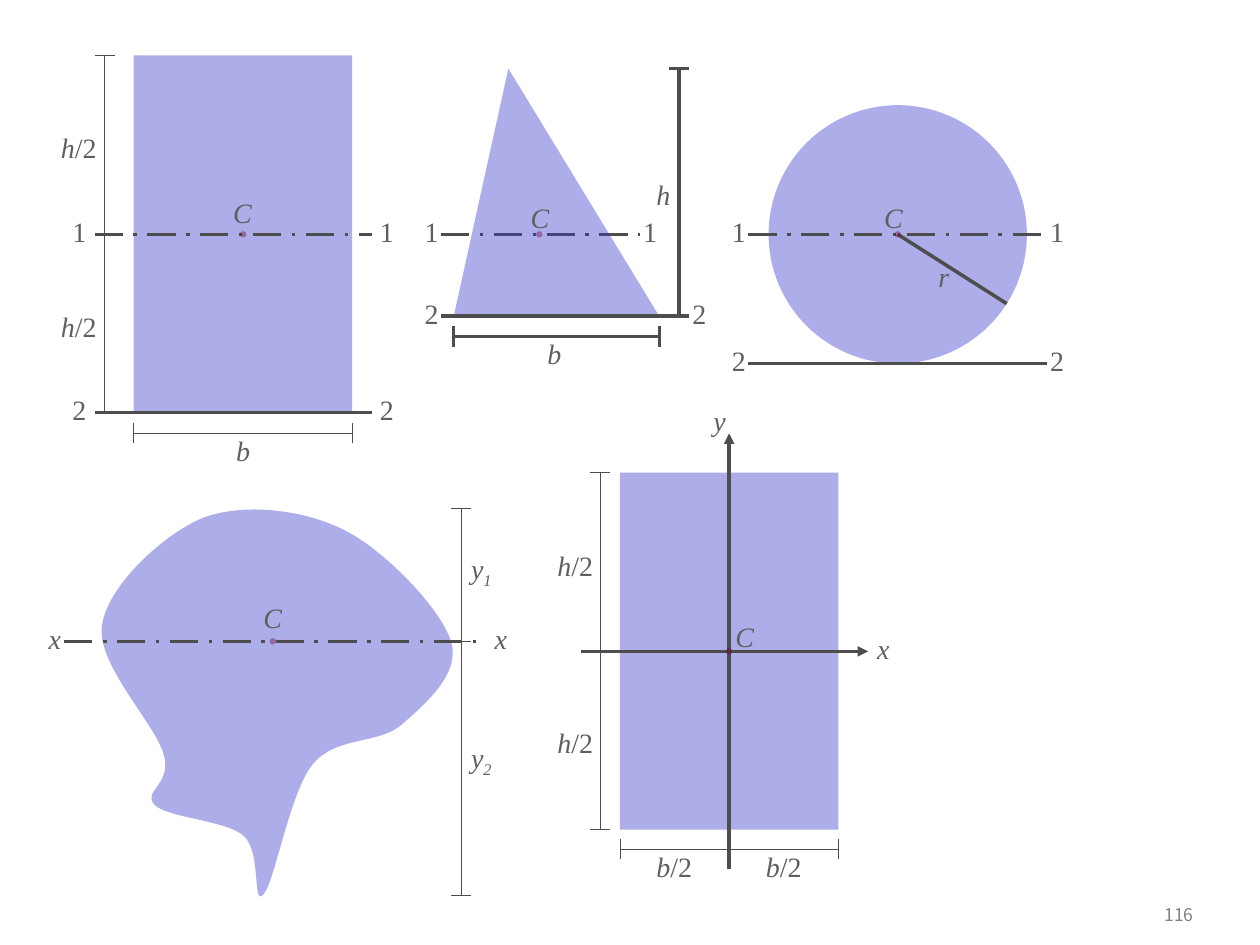
from dataclasses import dataclass
from lxml.etree import SubElement
from pptx import Presentation
from pptx.dml.color import RGBColor as Rgb
from pptx.enum.dml import MSO_LINE as Dash
from pptx.enum.shapes import MSO_CONNECTOR as Link, MSO_SHAPE as Kind
from pptx.enum.text import MSO_ANCHOR as Anchor, MSO_AUTO_SIZE as Fit, PP_ALIGN as Align
from pptx.oxml.ns import qn
from pptx.util import Emu, Inches, Pt

# The slide is a grid of 100 columns by 75 rows
COLS, ROWS = 100, 75
HUES = {"plate": "3333CC", "dot": "6B0131", "line": "4D4D4D",
        "text": "5F5F5F", "page": "808080"}
SERIF, SANS = "Times New Roman", "Noto Sans CJK KR"
TICK = 0.8      # half length of an end mark
HIGH = 2.7      # height of a label
THIN = 0.25     # line width in points

deck = Presentation()
deck.slide_width, deck.slide_height = Inches(10), Inches(7.5)
slide = deck.slides.add_slide(deck.slide_layouts[6])
shapes = slide.shapes


@dataclass
class Bit:
    text: str
    slant: bool = True
    base: int = 0


@dataclass
class Label:
    bits: list[Bit]
    mid: float
    top: float
    wide: float = 3.1


@dataclass
class Axis:
    mark: Bit
    left: float
    right: float
    row: float
    pads: tuple[float, float]
    dashed: bool = True


def col(n: float) -> Emu:
    return Emu(round(deck.slide_width * n / COLS))


def row(n: float) -> Emu:
    return Emu(round(deck.slide_height * n / ROWS))


def box(left: float, top: float, wide: float, high: float) -> tuple[Emu, ...]:
    return col(left), row(top), col(wide), row(high)


def tint(shape, hue: str) -> None:
    """Give a shape a 40 % opaque fill and no outline."""
    shape.shadow.inherit = False
    shape.line.fill.background()
    shape.fill.solid()
    shape.fill.fore_color.rgb = Rgb.from_string(HUES[hue])
    tone = shape.element.spPr.find(".//" + qn("a:srgbClr"))
    SubElement(tone, qn("a:alpha"), val="40000")


def line(x1: float, y1: float, x2: float, y2: float, width: float = 0,
         dashed: bool = False, arrow: bool = False) -> None:
    link = shapes.add_connector(Link.STRAIGHT, col(x1), row(y1), col(x2), row(y2))
    link.line.color.rgb = Rgb.from_string(HUES["line"])
    link.line.width = Pt(width)
    if dashed:
        link.line.dash_style = Dash.LONG_DASH_DOT
    props = link.element.spPr
    if arrow:
        SubElement(props.find(qn("a:ln")), qn("a:tailEnd"), type="triangle")
    SubElement(props, qn("a:effectLst"))


def write(para, bit: Bit, size: float, face: str, hue: str) -> None:
    run = para.add_run()
    run.text = bit.text
    run.font.size, run.font.name = Pt(size), face
    run.font.color.rgb = Rgb.from_string(HUES[hue])
    run.font.italic = bit.slant
    if bit.base:
        run._r.get_or_add_rPr().set("baseline", str(bit.base * 1000))


def label(item: Label) -> None:
    frame = shapes.add_textbox(
        *box(item.mid - item.wide / 2, item.top, item.wide, HIGH)).text_frame
    frame.margin_left = frame.margin_right = frame.margin_top = frame.margin_bottom = 0
    frame.word_wrap, frame.auto_size = True, Fit.SHAPE_TO_FIT_TEXT
    para = frame.paragraphs[0]
    para.alignment = Align.CENTER
    for bit in item.bits:
        write(para, bit, 16, SERIF, "text")


def axis(item: Axis) -> None:
    """Draw a level axis with the same mark at both ends."""
    line(item.left, item.row, item.right, item.row, dashed=item.dashed)
    for mid in (item.left - item.pads[0], item.right + item.pads[1]):
        label(Label([item.mark], mid, item.row - 1.6, 2.4))


def tall(x: float, *stops: float, width: float = THIN) -> None:
    """Draw an upright measure with an end mark at each stop."""
    line(x, stops[0], x, stops[-1], width)
    for y in stops:
        line(x - TICK, y, x + TICK, y, width)


def flat(y: float, *stops: float, width: float = THIN) -> None:
    """Draw a level measure with an end mark at each stop."""
    line(stops[0], y, stops[-1], y, width)
    for x in stops:
        line(x, y - TICK, x, y + TICK, width)


def plate(kind: Kind, left: float, top: float, wide: float, high: float):
    shape = shapes.add_shape(kind, *box(left, top, wide, high))
    tint(shape, "plate")
    return shape


def center(x: float, y: float, mid: float, top: float) -> None:
    tint(shapes.add_shape(Kind.OVAL, *box(x - 0.25, y - 0.25, 0.5, 0.5)), "dot")
    label(Label([Bit("C")], mid, top))


def blob(start: tuple, curves: list[tuple]) -> None:
    """Draw a closed outline of cubic curves, three points to each."""
    spots = [(col(x), row(y)) for c in curves for x, y in zip(c[::2], c[1::2])]
    pen = shapes.build_freeform(col(start[0]), row(start[1]), scale=1.0)
    pen.add_line_segments(spots, close=True)
    shape = pen.convert_to_shape()
    steps = list(shape.element.iter(qn("a:lnTo")))
    for n in range(0, len(spots), 3):
        curve = steps[n]
        curve.tag = qn("a:cubicBezTo")
        for step in steps[n + 1:n + 3]:
            curve.append(step[0])
            step.getparent().remove(step)
    tint(shape, "plate")


ONE, TWO = Bit("1", False), Bit("2", False)
HALF = Bit("/2", False)
WIDE, TALL = 17.35, 28.35       # both rectangles
MID = 18.6                      # shared centre line of the top row

# Rectangle with axes 1 and 2
left, top = 10.6, 4.4
plate(Kind.RECTANGLE, left, top, WIDE, TALL)
axis(Axis(ONE, 7.5, 29.5, MID, (1.2, 1.2)))
axis(Axis(TWO, 7.5, 29.5, top + TALL, (1.2, 1.2), False))
tall(8.3, top, top + TALL)
flat(34.4, left, left + WIDE)
for y in (10.4, 24.6):
    label(Label([Bit("h"), HALF], 6.25, y, 3.9))
label(Label([Bit("b")], 19.3, 34.4))
center(19.3, MID, 19.25, 15.5)

# Triangle
axis(Axis(ONE, 35, 50.8, MID, (0.75, 0.8)))
plate(Kind.ISOSCELES_TRIANGLE, 36, 5.45, 16.35, 19.7).adjustments[0] = 0.266
axis(Axis(TWO, 35, 53.9, 25.1, (0.75, 1.6), False))
tall(53.9, 5.45, 25.1, width=0)
flat(26.7, 36, 52.35, width=0)
label(Label([Bit("h")], 52.65, 14.1, 2.5))
label(Label([Bit("b")], 44, 26.7))
center(42.8, MID, 42.85, 15.9)

# Circle
plate(Kind.OVAL, 61, 8.35, 20.5, 20.5)
axis(Axis(ONE, 59.4, 83.1, MID, (0.75, 0.8)))
axis(Axis(TWO, 59.4, 83.1, 28.85, (0.75, 0.8), False))
line(71.25, MID, 79.9, 24.1)
label(Label([Bit("r")], 74.9, 20.6))
center(71.25, MID, 70.9, 15.9)

# Free form
blob((16.1, 41.1), [
    (13, 42.4, 8.6, 46.4, 8.1, 49.6), (7.6, 52.7, 12.4, 57.5, 13, 59.9),
    (13.7, 62.3, 11.2, 62.8, 12.3, 63.9), (13.3, 64.9, 17.9, 65.1, 19.3, 66.3),
    (20.8, 67.5, 20, 72, 20.9, 71), (21.8, 70.1, 23, 62.9, 24.8, 60.7),
    (26.6, 58.4, 30.1, 59.1, 31.9, 57.5), (33.7, 55.9, 36.6, 53.5, 35.8, 50.9),
    (35, 48.3, 30.5, 43.6, 27.2, 42), (23.9, 40.4, 19.3, 39.9, 16.1, 41.1)])
axis(Axis(Bit("x"), 5.1, 38.2, 50.9, (0.75, 1.55)))
tall(36.6, 40.35, 50.9, 71.05)
for sub, y in (("1", 43.8), ("2", 58.8)):
    label(Label([Bit("y"), Bit(sub, base=-25)], 38.2, y, 3.2))
center(21.65, 50.9, 21.65, 47.7)

# Rectangle with x and y axes
left, top = 49.2, 37.5
plate(Kind.RECTANGLE, left, top, WIDE, TALL)
line(46.1, 51.7, 68.9, 51.7, arrow=True)
line(57.87, 69, 57.87, 34.4, arrow=True)
label(Label([Bit("x")], 70.1, 50.1))
label(Label([Bit("y")], 57.1, 32))
tall(47.6, top, top + TALL)
flat(67.4, left, left + WIDE)
for y in (43.5, 57.6):
    label(Label([Bit("h"), HALF], 45.65, y, 3.9))
for x in (53.5, 62.2):
    label(Label([Bit("b"), HALF], x, 67.4, 3.9))
center(57.87, 51.7, 59.1, 49.2)

# Page number
page = shapes.add_textbox(*box(88.6, 70.9, 7.1, 3.3)).text_frame
page.word_wrap, page.vertical_anchor = True, Anchor.MIDDLE
page.paragraphs[0].alignment = Align.RIGHT
write(page.paragraphs[0], Bit("116", False), 10, SANS, "page")

deck.save("out.pptx")
